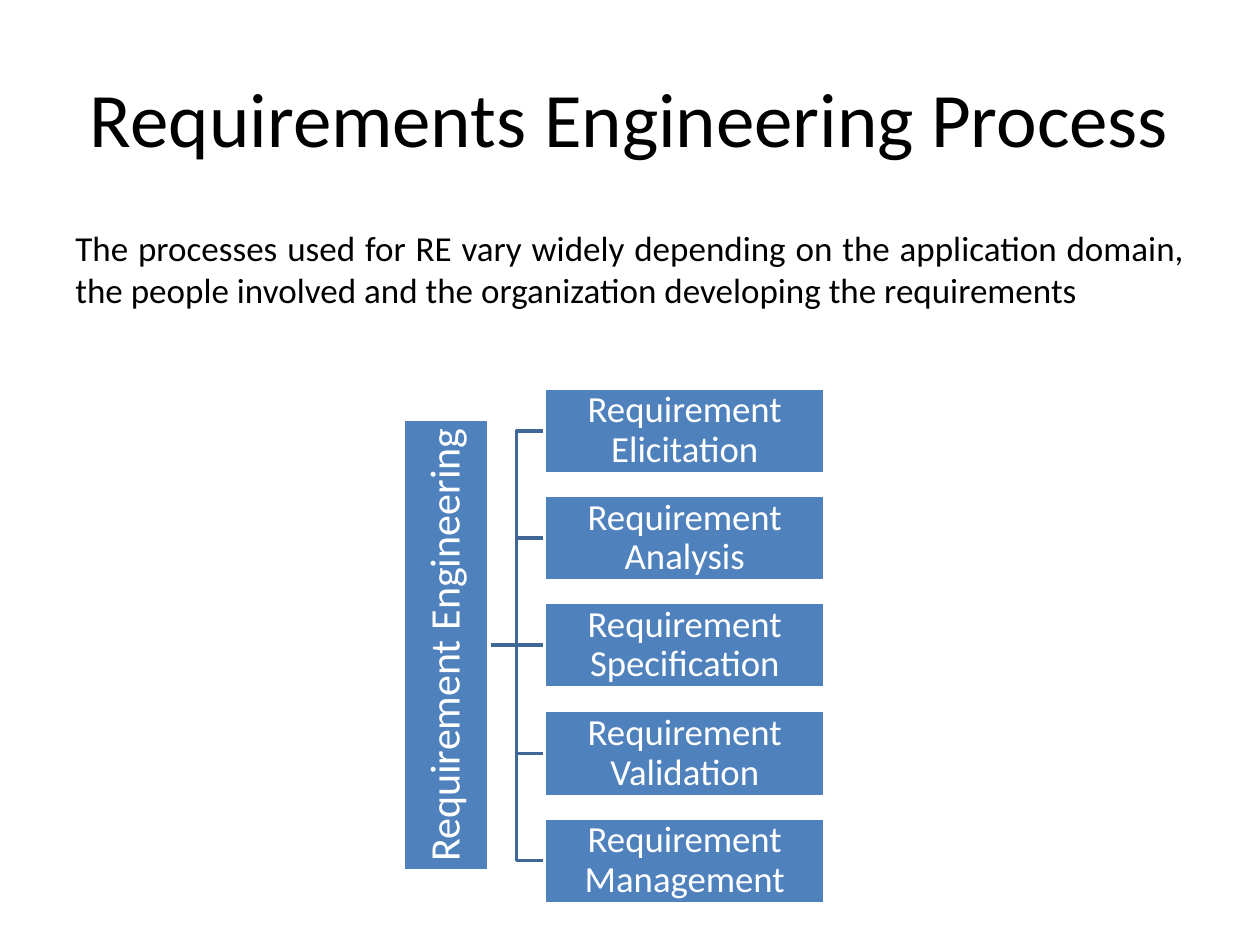
"""Build a slide on the requirements engineering process."""
from dataclasses import dataclass

from pptx import Presentation
from pptx.dml.color import RGBColor
from pptx.enum.shapes import MSO_CONNECTOR as Link, MSO_SHAPE as Form
from pptx.enum.text import MSO_ANCHOR as Anchor, PP_ALIGN as Align
from pptx.oxml import parse_xml
from pptx.oxml.ns import nsdecls
from pptx.util import Pt

PX = 9144


@dataclass(frozen=True)
class Theme:
    font: str = "Calibri"
    ink: str = "000000"
    paper: str = "FFFFFF"
    fill: str = "4F81BD"
    line: str = "3F6797"
    title: int = 44
    body: int = 20
    root: int = 24
    step: int = 21
    rule: int = 2


@dataclass(frozen=True)
class Box:
    x: int
    y: int
    w: int
    h: int

    @property
    def mid(self) -> int:
        return self.y + self.h // 2

    def emu(self) -> tuple:
        return tuple(v * PX for v in (self.x, self.y, self.w, self.h))


@dataclass(frozen=True)
class Card:
    text: str
    box: Box
    size: int
    pad: int = 1
    turn: int = 0


THEME = Theme()
STEPS = ("Elicitation", "Analysis", "Specification", "Validation", "Management")
TOP, PITCH = 308, 85.25
START, TRUNK, END = 388, 410, 432
CARDS = [
    Card(f"Requirement {name}", Box(END, round(TOP + i * PITCH), 223, 68), THEME.step)
    for i, name in enumerate(STEPS)
]
HUB = CARDS[len(CARDS) // 2]
ROOT = Card("Requirement Engineering", Box(175, HUB.box.y, 358, 68), THEME.root, 2, 270)


def write(shape, text: str, *, size: int, color: str, align=Align.CENTER,
          anchor=Anchor.MIDDLE, pad=None, lead=None) -> None:
    frame = shape.text_frame
    frame.word_wrap = True
    frame.vertical_anchor = anchor
    if pad is not None:
        frame.margin_left = frame.margin_right = pad * PX
        frame.margin_top = frame.margin_bottom = pad * PX
    para = frame.paragraphs[0]
    para.text = text
    para.alignment = align
    para.line_spacing = lead
    para.font.name = THEME.font
    para.font.size = Pt(size)
    para.font.color.rgb = RGBColor.from_string(color)


def stroke(shape, color: str) -> None:
    shape.line.color.rgb = RGBColor.from_string(color)
    shape.line.width = Pt(THEME.rule)


def draw_card(slide, card: Card):
    shape = slide.shapes.add_shape(Form.RECTANGLE, *card.box.emu())
    shape.shadow.inherit = False
    shape.rotation = card.turn
    shape.fill.solid()
    shape.fill.fore_color.rgb = RGBColor.from_string(THEME.fill)
    stroke(shape, THEME.paper)
    write(shape, card.text, size=card.size, color=THEME.paper, pad=card.pad, lead=0.9)
    return shape


def draw_elbow(slide, start: int, end: int) -> None:
    pen = slide.shapes.build_freeform(START, start, scale=PX)
    pen.add_line_segments([(TRUNK, start), (TRUNK, end), (END, end)], close=False)
    shape = pen.convert_to_shape()
    shape.shadow.inherit = False
    shape.fill.background()
    stroke(shape, THEME.line)


def draw_link(slide, y: int):
    link = slide.shapes.add_connector(Link.STRAIGHT, START * PX, y * PX, END * PX, y * PX)
    link._element.spPr.append(parse_xml(f"<a:effectLst {nsdecls('a')}/>"))
    stroke(link, THEME.line)
    return link


def place_title(slide, text: str, box: Box) -> None:
    title = slide.shapes.title
    title.left, title.top, title.width, title.height = box.emu()
    write(title, text, size=THEME.title, color=THEME.ink)


def main() -> None:
    deck = Presentation()
    deck.slide_width, deck.slide_height = 1000 * PX, 750 * PX
    slide = deck.slides.add_slide(deck.slide_layouts[5])
    place_title(slide, "Requirements Engineering Process", Box(50, 30, 900, 125))
    body = slide.shapes.add_textbox(*Box(50, 175, 900, 495).emu())
    write(body, "The processes used for RE vary widely depending on the application "
          "domain, the people involved and the organization developing the requirements",
          size=THEME.body, color=THEME.ink, align=Align.JUSTIFY, anchor=Anchor.TOP)
    for card in CARDS:
        if card is not HUB:
            draw_elbow(slide, HUB.box.mid, card.box.mid)
    link = draw_link(slide, HUB.box.mid)
    draw_card(slide, ROOT)
    for card in CARDS:
        shape = draw_card(slide, card)
        if card is HUB:
            link.end_connect(shape, 1)
    deck.save("out.pptx")


if __name__ == "__main__":
    main()
